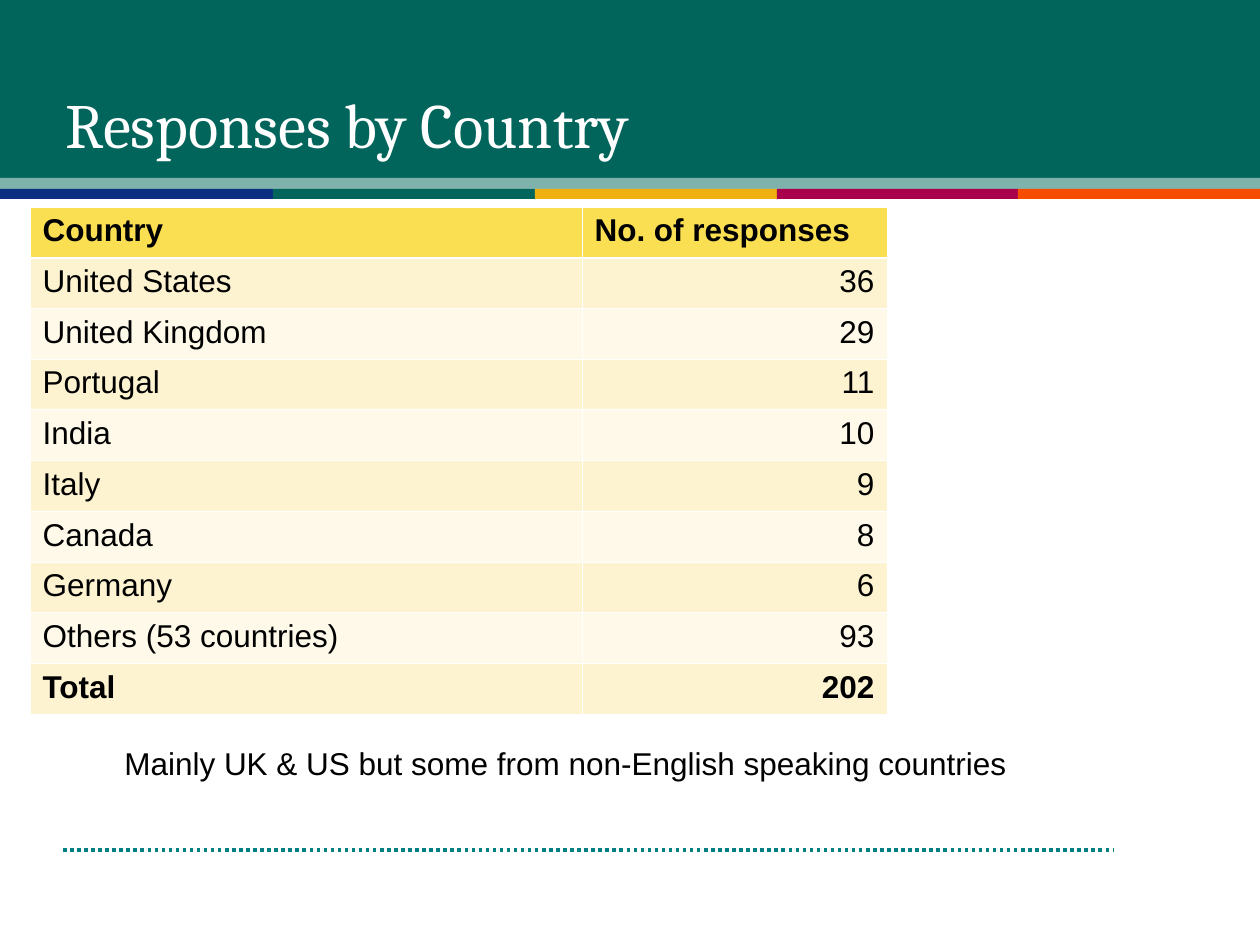
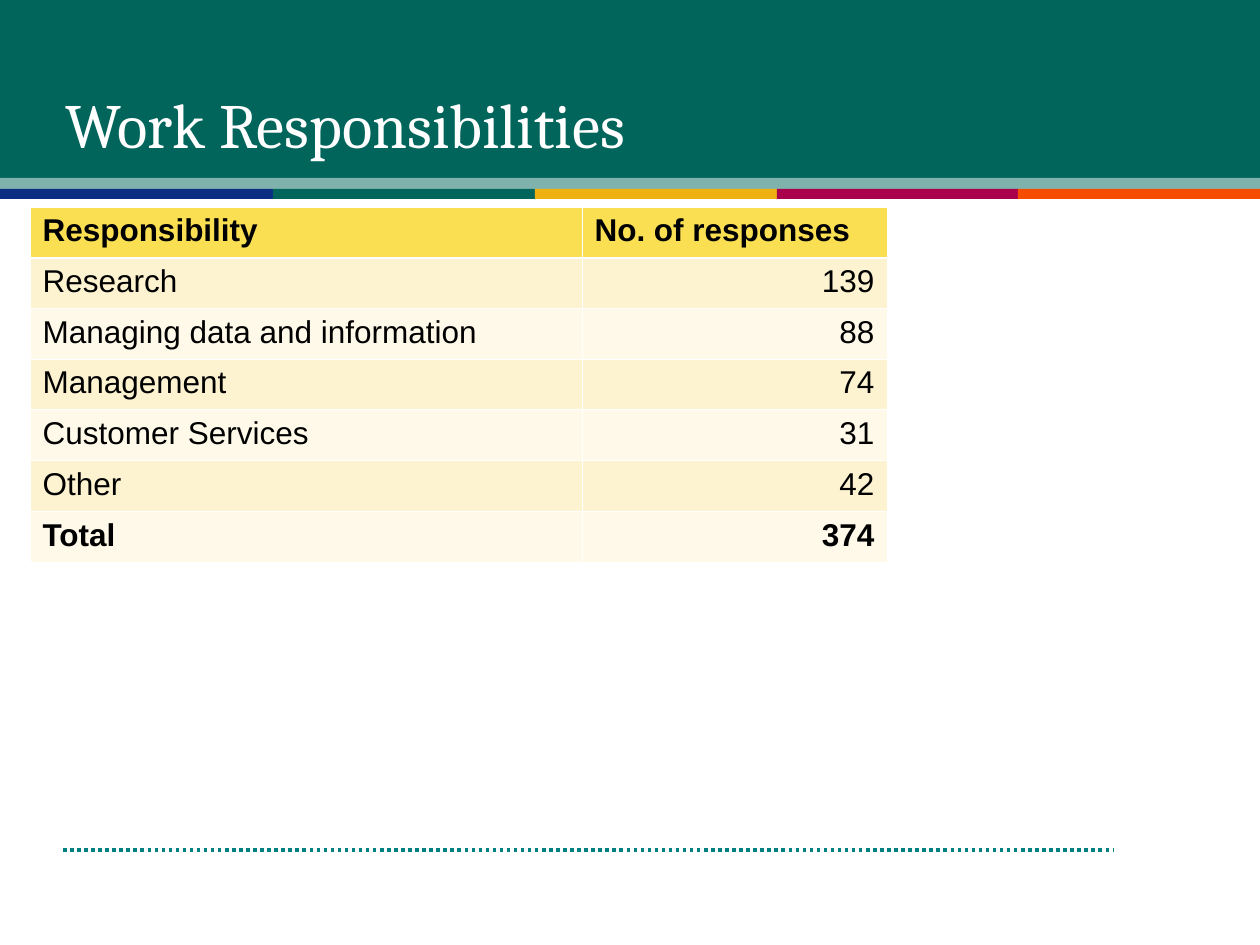
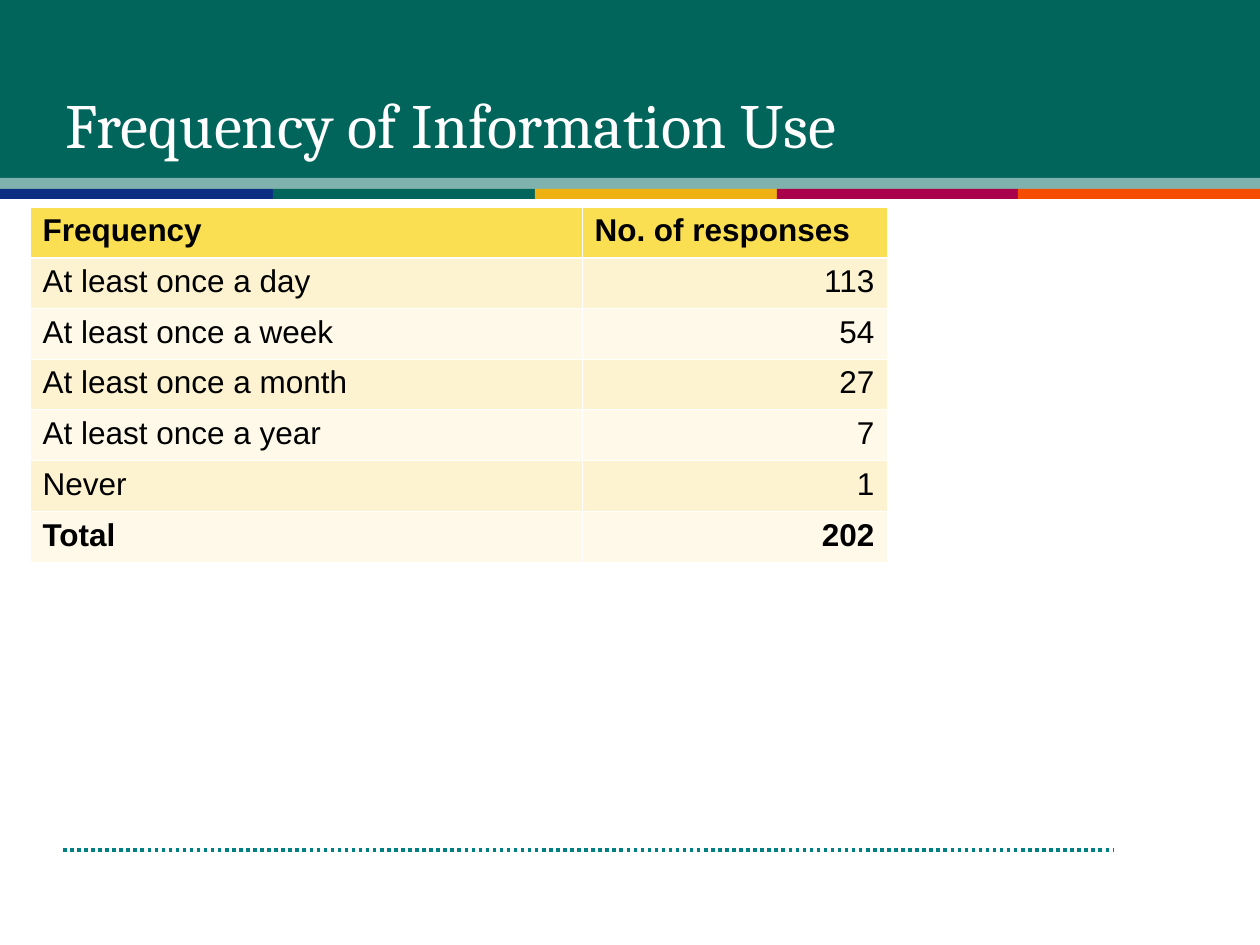
import pptx
import pptx.util
import pptx.dml.color
import pptx.enum.dml
import pptx.enum.shapes
import pptx.enum.text
import pptx.oxml
import pptx.oxml.ns
import lxml.etree

RGB = pptx.dml.color.RGBColor
Pt = pptx.util.Pt
ALIGN = pptx.enum.text.PP_ALIGN

WHITE = RGB(0xFF, 0xFF, 0xFF)
BLACK = RGB(0x00, 0x00, 0x00)
TEAL = RGB(0x00, 0x80, 0x80)
GREEN = RGB(0x01, 0x65, 0x5B)
SAGE = RGB(0x80, 0xB2, 0xAD)
NAVY = RGB(0x0C, 0x2E, 0x82)
GOLD = RGB(0xEE, 0xB1, 0x11)
PLUM = RGB(0xAA, 0x01, 0x4C)
ORANGE = RGB(0xF5, 0x4C, 0x00)
HEAD = RGB(0xFB, 0xDF, 0x53)
BANDS = (RGB(0xFD, 0xF3, 0xD1), RGB(0xFE, 0xF9, 0xE9))

COUNT = "No. of responses"
NOTE = "Mainly UK & US but some from non-English speaking countries"
PAGES = [
    ("Responses by Country", [
        ("Country", COUNT),
        ("United States", 36),
        ("United Kingdom", 29),
        ("Portugal", 11),
        ("India", 10),
        ("Italy", 9),
        ("Canada", 8),
        ("Germany", 6),
        ("Others (53 countries)", 93),
        ("Total", 202),
    ], NOTE),
    ("Work Responsibilities", [
        ("Responsibility", COUNT),
        ("Research", 139),
        ("Managing data and information", 88),
        ("Management", 74),
        ("Customer Services", 31),
        ("Other", 42),
        ("Total", 374),
    ], None),
    ("Frequency of Information Use", [
        ("Frequency", COUNT),
        ("At least once a day", 113),
        ("At least once a week", 54),
        ("At least once a month", 27),
        ("At least once a year", 7),
        ("Never", 1),
        ("Total", 202),
    ], None),
]

WIDE, HIGH = 1260, 945
STRIPES = [(0, NAVY), (273, GREEN), (535, GOLD), (777, PLUM), (1018, ORANGE)]
COLS = (552, 305)
TEN_ROWS = 507
THIN, THICK = 0.45, 1.47


def px(n):
    return round(n * 914400 / 126)


def box(*spots):
    return [px(n) for n in spots]


def style(para, font, size, color, bold=False):
    para.font.name = font
    para.font.size = Pt(size)
    para.font.color.rgb = color
    para.font.bold = bold


def bar(slide, spot, color):
    rect = slide.shapes.add_shape(
        pptx.enum.shapes.MSO_SHAPE.RECTANGLE, *box(*spot))
    rect.shadow.inherit = False
    rect.fill.solid()
    rect.fill.fore_color.rgb = color
    rect.line.fill.background()


def frame(slide):
    rule = slide.shapes.add_connector(
        pptx.enum.shapes.MSO_CONNECTOR.STRAIGHT, *box(63, 850, 1113, 850))
    rule.line.color.rgb = TEAL
    rule.line.width = Pt(2)
    rule.line.dash_style = pptx.enum.dml.MSO_LINE.ROUND_DOT
    lxml.etree.SubElement(
        rule.element.spPr, pptx.oxml.ns.qn("a:effectLst"))
    bar(slide, (0, 0, WIDE, 178), GREEN)
    bar(slide, (0, 178, WIDE, 11), SAGE)
    ends = [left for left, _ in STRIPES[1:]] + [WIDE]
    for (left, color), end in zip(STRIPES, ends):
        bar(slide, (left, 189, end - left, 10), color)


def head(slide, text):
    title = slide.shapes.title
    slide.shapes.element.append(title.element)
    title.left, title.top, title.width, title.height = box(53, 42, 1134, 163)
    area = title.text_frame
    area.text = text
    area.word_wrap = True
    area.auto_size = pptx.enum.text.MSO_AUTO_SIZE.NONE
    area.vertical_anchor = pptx.enum.text.MSO_ANCHOR.MIDDLE
    para = area.paragraphs[0]
    para.alignment = ALIGN.LEFT
    style(para, "Cambria", 36, WHITE)


def edge(cell, row):
    sides = {"L": THIN, "R": THIN,
             "T": THICK if row == 1 else THIN,
             "B": THICK if row == 0 else THIN}
    props = cell._tc.get_or_add_tcPr()
    for side, width in sides.items():
        props.append(pptx.oxml.parse_xml(
            f'<a:ln{side} {pptx.oxml.ns.nsdecls("a")} w="{Pt(width)}">'
            f'<a:solidFill><a:srgbClr val="{WHITE}"/></a:solidFill>'
            f'</a:ln{side}>'))


def grid(slide, rows):
    high = round(TEN_ROWS * len(rows) / 10)
    table = slide.shapes.add_table(
        len(rows), len(COLS), *box(30, 207, sum(COLS), high)).table
    table.horz_banding = False
    for col, width in zip(table.columns, COLS):
        col.width = px(width)
    for r, row in enumerate(rows):
        for c, value in enumerate(row):
            cell = table.cell(r, c)
            edge(cell, r)
            cell.fill.solid()
            cell.fill.fore_color.rgb = BANDS[(r - 1) % 2] if r else HEAD
            cell.text = str(value)
            para = cell.text_frame.paragraphs[0]
            para.alignment = ALIGN.RIGHT if r and c else ALIGN.LEFT
            style(para, "Arial", 18, BLACK, r in (0, len(rows) - 1))


def remark(slide, text):
    area = slide.shapes.add_textbox(*box(49, 738, 1074, 51)).text_frame
    area.word_wrap = True
    area.text = text
    para = area.paragraphs[0]
    para.level = 1
    props = para._p.get_or_add_pPr()
    props.set("marL", str(px(63)))
    props.set("indent", "0")
    style(para, "Arial", 18, BLACK)


def main():
    deck = pptx.Presentation()
    deck.slide_width, deck.slide_height = box(WIDE, HIGH)
    for title, rows, note in PAGES:
        slide = deck.slides.add_slide(deck.slide_layouts[5])
        frame(slide)
        head(slide, title)
        grid(slide, rows)
        if note:
            remark(slide, note)
    deck.save("out.pptx")


if __name__ == "__main__":
    main()
